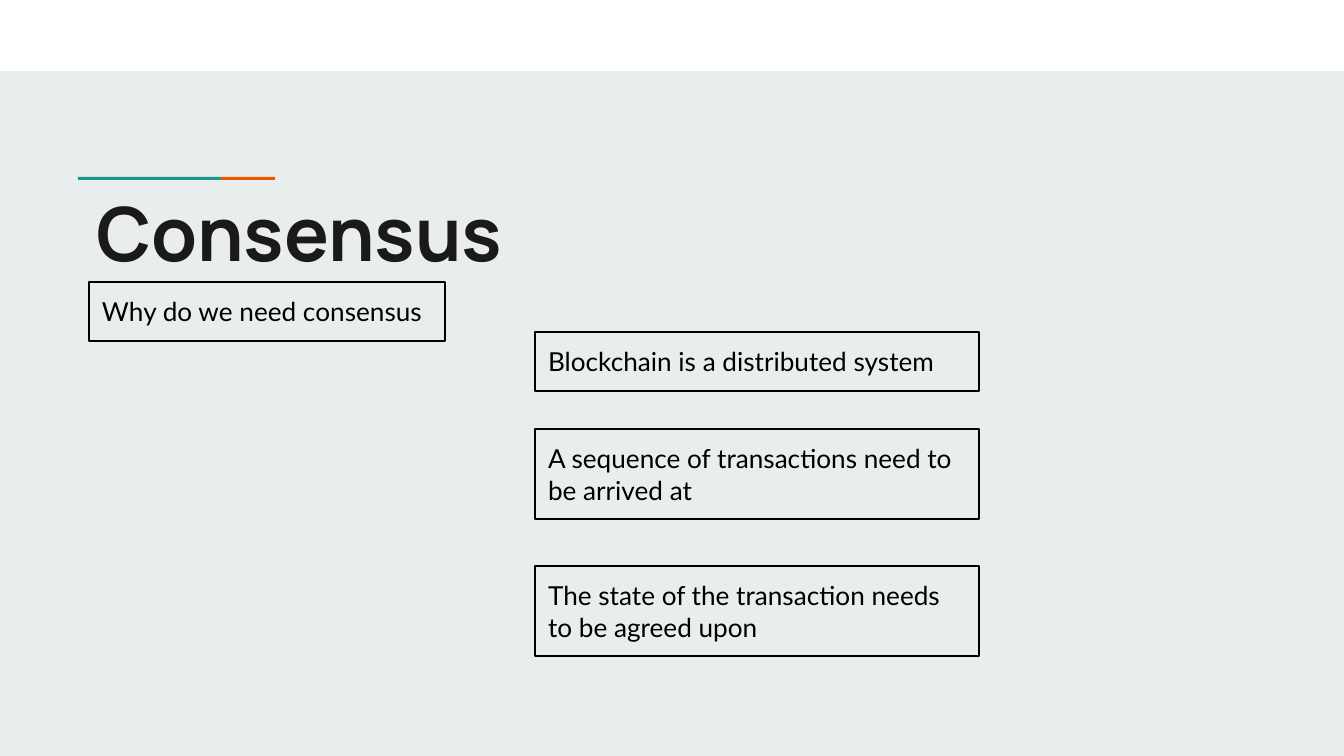
import pptx
import pptx.util
import pptx.dml.color
import pptx.enum.shapes
import pptx.enum.text

PX = 914400 / 134.4
SLIDE_SIZE = (1344, 756)
COLORS = {
    "background": "E9EDEE",
    "band": "FFFFFF",
    "teal": "1A9988",
    "orange": "EB5600",
    "title": "1A1A1A",
    "black": "000000",
}
BARS = [
    ("band", (0, 0, 1344, 71)),
    ("teal", (78, 177, 143, 3)),
    ("orange", (221, 177, 54, 3)),
]
TITLE = "Consensus"
TITLE_BOX = (83, 169, 1261, 125)
QUESTION = "Why do we need consensus"
QUESTION_BOX = (89, 282, 356, 59)
REASONS = [
    ("Blockchain is a distributed system", 332, 1),
    ("A sequence of transactions need to be arrived at", 429, 2),
    ("The state of the transaction needs to be agreed upon", 566, 2),
]
REASON_LEFT, REASON_WIDTH = 535, 444
BOX_PADDING, LINE_HEIGHT = 28, 31
INSET = 13


def px(value):
    return pptx.util.Emu(round(value * PX))


def rgb(name):
    return pptx.dml.color.RGBColor.from_string(COLORS[name])


def add_rectangle(slide, box, fill=None, line=None):
    shape = slide.shapes.add_shape(
        pptx.enum.shapes.MSO_SHAPE.RECTANGLE, *map(px, box))
    shape.shadow.inherit = False
    if fill:
        shape.fill.solid()
        shape.fill.fore_color.rgb = rgb(fill)
    else:
        shape.fill.background()
    if line:
        shape.line.color.rgb = rgb(line)
        shape.line.width = pptx.util.Pt(0.75)
    else:
        shape.line.fill.background()
    return shape


def write_text(shape, text, *, size=14, font="Lato", color="black", bold=False):
    frame = shape.text_frame
    frame.word_wrap = True
    frame.vertical_anchor = pptx.enum.text.MSO_ANCHOR.MIDDLE
    frame.margin_left = frame.margin_right = px(INSET)
    frame.margin_top = frame.margin_bottom = px(INSET)
    paragraph = frame.paragraphs[0]
    paragraph.alignment = pptx.enum.text.PP_ALIGN.LEFT
    run = paragraph.add_run()
    run.text = text
    run.font.size = pptx.util.Pt(size)
    run.font.name = font
    run.font.bold = bold
    run.font.color.rgb = rgb(color)


def main():
    presentation = pptx.Presentation()
    presentation.slide_width, presentation.slide_height = map(px, SLIDE_SIZE)
    slide = presentation.slides.add_slide(presentation.slide_layouts[6])
    slide.background.fill.solid()
    slide.background.fill.fore_color.rgb = rgb("background")

    for color, box in BARS:
        add_rectangle(slide, box, fill=color)

    title = slide.shapes.add_textbox(*map(px, TITLE_BOX))
    write_text(title, TITLE, size=40, font="Manrope", color="title", bold=True)

    boxes = [(QUESTION, QUESTION_BOX)]
    for text, top, lines in REASONS:
        height = BOX_PADDING + lines * LINE_HEIGHT
        boxes.append((text, (REASON_LEFT, top, REASON_WIDTH, height)))
    for text, box in boxes:
        write_text(add_rectangle(slide, box, line="black"), text)

    presentation.save("out.pptx")


if __name__ == "__main__":
    main()
